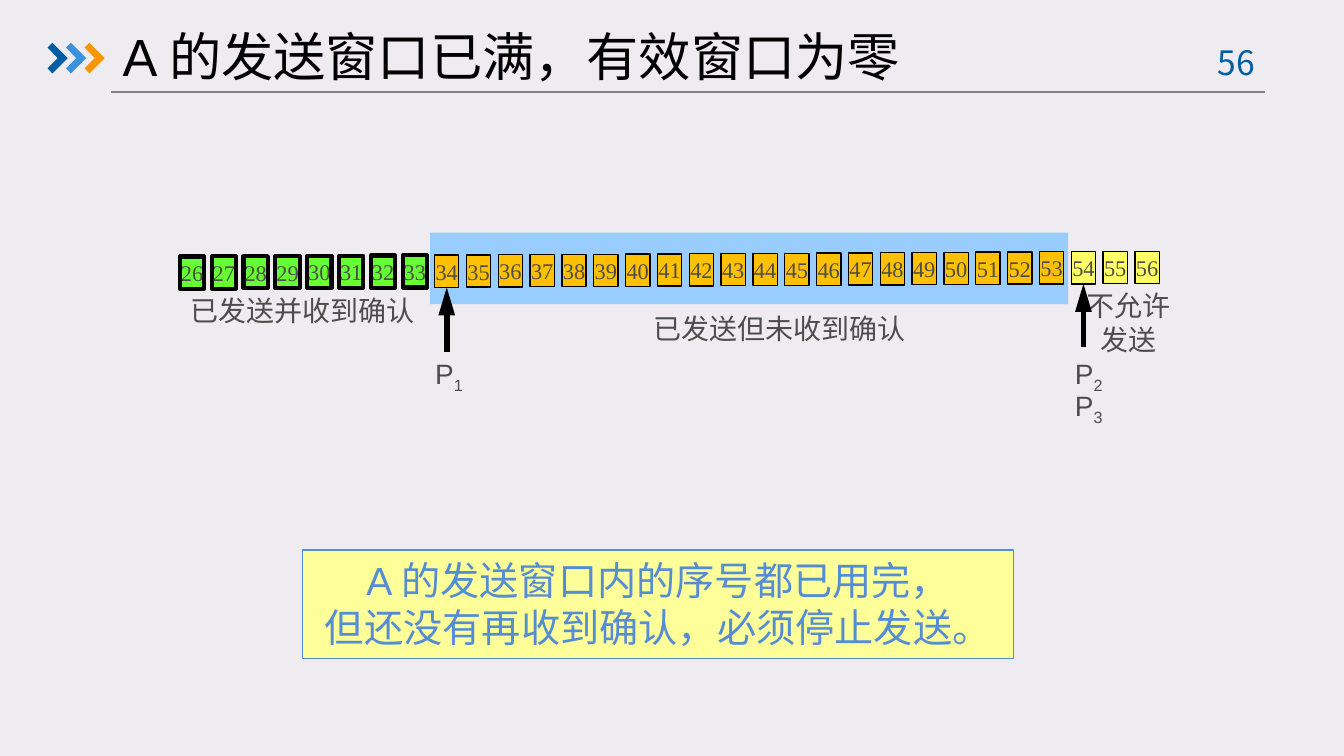
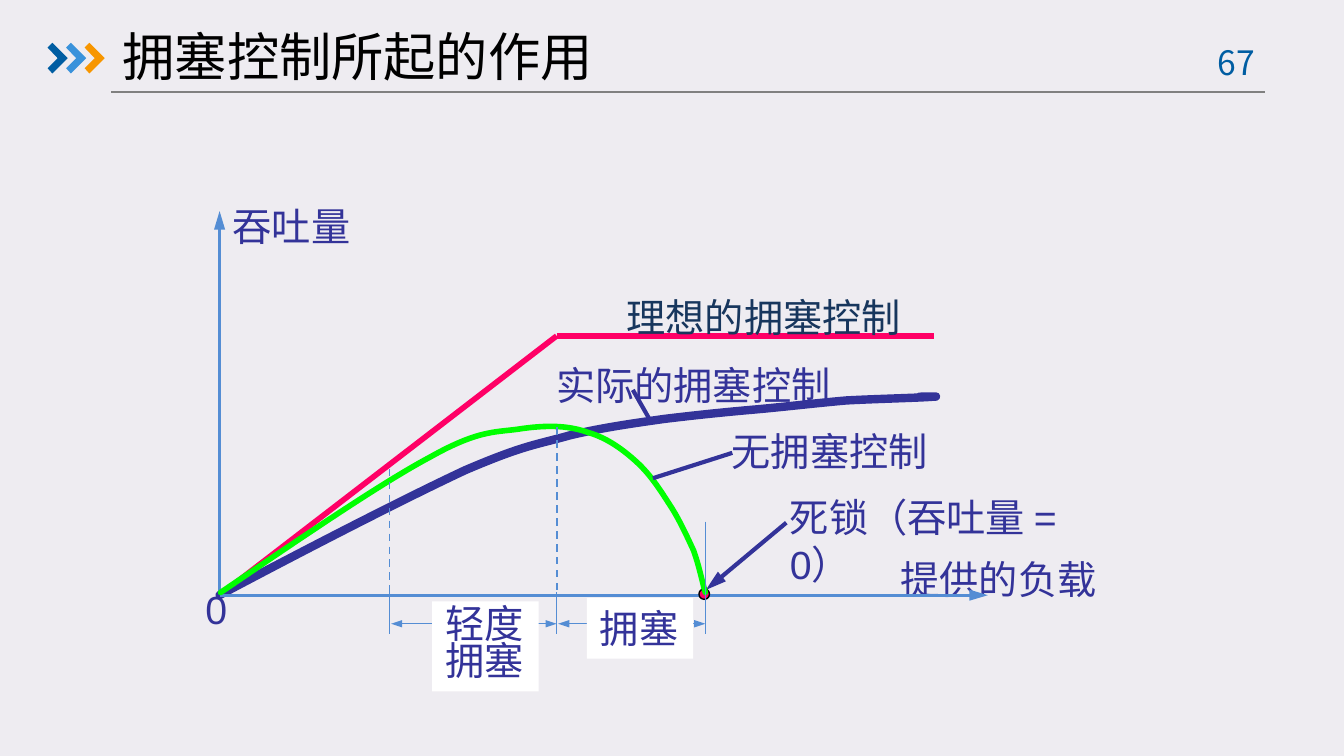
from pptx import Presentation
from pptx.dml.color import RGBColor
from pptx.enum.dml import MSO_LINE as Dash
from pptx.enum.shapes import MSO_CONNECTOR as Link, MSO_SHAPE as Kind
from pptx.enum.text import MSO_ANCHOR as Anchor, PP_ALIGN as Align
from pptx.oxml.ns import qn
from pptx.util import Cm, Pt
from lxml.etree import SubElement as Sub

BLACK, GRAY, INK = "000000", "4D4D4D", "333399"
BLUE, ROSE, LIME = "548DD4", "FF0066", "00FF00"
CJK = "Noto Sans CJK SC"
CHEVRON = [(0, .09), (.09, 0), (.38, .29), (.09, .58), (0, .48), (.19, .29)]


def rgb(code):
    """Turn a hex string into a colour."""
    return RGBColor.from_string(code)


def write(shape, text, size=21, color=INK, font="Arial", align=Align.LEFT,
          anchor=Anchor.TOP, wrap=False, leading=None, sub=None, inset=None):
    """Fill a shape with formatted text, one paragraph per line."""
    frame = shape.text_frame
    frame.word_wrap, frame.vertical_anchor = wrap, anchor
    if inset is not None:
        frame.margin_left = frame.margin_right = Cm(inset)
        frame.margin_top = frame.margin_bottom = Cm(inset)
    for i, line in enumerate(text.split("\n")):
        para = frame.add_paragraph() if i else frame.paragraphs[0]
        para.alignment, para.line_spacing = align, leading
        for part in filter(None, (line, sub)):
            run = para.add_run()
            run.text = part
            run.font.size, run.font.name = Pt(size), font
            run.font.color.rgb = rgb(color)
            props = run.font._element
            Sub(props, qn("a:ea")).set("typeface", CJK)
            if part is sub:
                props.set("baseline", "-25000")


class Deck:
    """Hold the shared style and the current slide."""

    def __init__(self):
        """Start an empty deck."""
        self.prs = Presentation()
        self.prs.slide_width, self.prs.slide_height = Cm(25.4), Cm(14.29)
        self.slide = None

    def page(self, title, number, font="Arial"):
        """Add a slide with its background, header and number."""
        self.slide = self.prs.slides.add_slide(self.prs.slide_layouts[6])
        fill = self.slide.background.fill
        fill.solid()
        fill.fore_color.rgb = rgb("EEECF1")
        self.line((2.1, 1.74), (23.9, 1.74), "808080", .75)
        for i, color in enumerate(("005DA2", "3992DB", "F79600")):
            self.free([(.9 + .35 * i + x, .81 + y) for x, y in CHEVRON], fill=color)
        self.text(22.44, .66, 1.85, 1.02, number, size=18, color="005DA2",
                  font=CJK, align=Align.CENTER, wrap=True)
        self.text(2.07, .41, 17.88, 1.3, title, size=28, color=BLACK, font=font,
                  anchor=Anchor.MIDDLE, wrap=True)

    def paint(self, shape, fill=None, line=None, width=.75):
        """Set fill and outline and drop the shadow."""
        shape.shadow.inherit = False
        if fill:
            shape.fill.solid()
            shape.fill.fore_color.rgb = rgb(fill)
        else:
            shape.fill.background()
        if line:
            shape.line.color.rgb, shape.line.width = rgb(line), Pt(width)
        else:
            shape.line.fill.background()
        return shape

    def text(self, x, y, w, h, text, **style):
        """Add a text box."""
        box = self.slide.shapes.add_textbox(Cm(x), Cm(y), Cm(w), Cm(h))
        write(box, text, **style)

    def shape(self, x, y, w, h, fill, line=None, width=.75, kind=Kind.RECTANGLE,
              text=None, **style):
        """Add a preset shape, with text if given."""
        item = self.slide.shapes.add_shape(kind, Cm(x), Cm(y), Cm(w), Cm(h))
        self.paint(item, fill, line, width)
        if text:
            write(item, text, **style)
        return item

    def free(self, points, fill=None, line=None, width=.75):
        """Add an outline: closed when filled, open when only stroked."""
        dots = [(Cm(x), Cm(y)) for x, y in points]
        form = self.slide.shapes.build_freeform(*dots[0], scale=1.0)
        form.add_line_segments(dots[1:], close=bool(fill))
        return self.paint(form.convert_to_shape(), fill, line, width)

    def curve(self, points, color, width):
        """Add a chain of cubic curves given as a start and triples."""
        item = self.free(points, line=color, width=width)
        item.line._get_or_add_ln().set("cap", "rnd")
        legs = list(item._element.iter(qn("a:lnTo")))
        track = legs[0].getparent()
        for i in range(0, len(legs), 3):
            bend = Sub(track, qn("a:cubicBezTo"))
            for leg in legs[i:i + 3]:
                bend.append(leg[0])
                track.remove(leg)

    def line(self, start, end, color=BLUE, width=.75, heads=(), dash=False,
             size=("med", "lg")):
        """Add a straight line with optional arrowheads."""
        item = self.slide.shapes.add_connector(
            Link.STRAIGHT, *(Cm(v) for v in (*start, *end)))
        item.line.color.rgb, item.line.width = rgb(color), Pt(width)
        if dash:
            item.line.dash_style = Dash.DASH
        for head in heads:
            tip = Sub(item.line._get_or_add_ln(), qn("a:" + head))
            for key, val in zip(("type", "w", "len"), ("triangle", *size)):
                tip.set(key, val)
        Sub(item._element.spPr, qn("a:effectLst"))
        return item


def window(deck):
    """Draw the full send window."""
    deck.page("A 的发送窗口已满，有效窗口为零", "56")
    note = dict(size=15, color=GRAY, align=Align.CENTER)
    deck.text(20.27, 5.33, 2.11, 1.55, "不允许\n发送", **note)
    deck.text(3.33, 5.42, 4.78, .89, "已发送并收到确认", **note)
    deck.shape(8.13, 4.4, 12.06, 1.35, "99CCFF")
    cells = {}
    for i, num in enumerate(range(26, 57)):
        fill, width = (("66FF33", 2.25) if num < 34 else
                       ("FFC000", .75) if num < 54 else ("FFFF66", .75))
        cells[num] = deck.shape(
            3.4 + 18.05 * i / 30, 4.85 - i / 300, .46, .61, fill, BLACK, width,
            text=str(num), size=12, color=GRAY, font="Times New Roman",
            align=Align.CENTER, anchor=Anchor.MIDDLE, inset=0)
    deck.text(12.11, 5.77, 5.33, .89, "已发送但未收到确认", size=15, color=GRAY)
    for num, x, y in ((34, 8.43, 6.65), (54, 20.45, 6.55)):
        arrow = deck.line((x, y), (x, y - 1.22), BLACK, 3, ["tailEnd"])
        arrow.end_connect(cells[num], 2)
        arrow.begin_x = arrow.end_x
    for x, y, sub in ((7.95, 6.62, "1"), (20.04, 6.62, "2"), (20.04, 7.22, "3")):
        deck.text(x, y, 1.07, .89, "P", sub=sub, **note)
    deck.shape(5.72, 10.4, 13.44, 2.05, "FFFF99", BLUE, color=BLUE, align=Align.CENTER,
               text="A 的发送窗口内的序号都已用完，\n但还没有再收到确认，必须停止发送。")


def graph(deck):
    """Draw throughput against offered load."""
    deck.page("拥塞控制所起的作用", "67", CJK)
    zero, knee, mild, dead = (4.15, 11.25), (10.52, 6.35), 7.36, 13.33
    mid, base = knee[0], 11.2
    deck.line(zero, (4.15, 3.99), BLUE, 1.5, ["tailEnd"])
    deck.text(16.77, 10.37, 4.24, 1.14, "提供的负载")
    deck.text(4.15, 3.7, 2.77, 1.14, "吞吐量")
    deck.line(zero, knee, ROSE, 3)
    deck.line(knee, (17.65, 6.35), ROSE, 3)
    deck.text(11.59, 5.42, 5.74, 1.14, "理想的拥塞控制", color="17365D")
    real = [zero, (5.92, 10.31), (7.7, 9.4), (8.79, 8.89), (9.91, 8.41), (10.13, 8.41),
            (10.77, 8.23), (11.4, 8.08), (11.99, 8), (12.55, 7.92), (13.13, 7.85),
            (13.61, 7.8), (14.17, 7.75), (14.76, 7.7), (15.42, 7.62), (16, 7.57),
            (16.56, 7.54), (17.4, 7.52), (17.63, 7.5), (17.86, 7.49), (17.4, 7.5),
            (17.37, 7.5)]
    deck.curve(real, INK, 4.5)
    deck.text(10.26, 6.7, 5.74, 1.14, "实际的拥塞控制")
    deck.line((11.96, 7.37), (12.29, 7.95), INK, 2.25)
    deck.line(zero, (18.67, 11.25), BLUE, 1.5, ["tailEnd"])
    deck.text(3.63, 10.94, .91, 1.14, "0")
    deck.text(14.68, 9.2, 6.2, 1.14, "死锁（吞吐量 = 0）", wrap=True)
    deck.line((14.86, 9.88), (13.34, 11.15), INK, 2.25, ["tailEnd"])
    deck.shape(13.21, 11.13, .2, .2, ROSE, BLACK, kind=Kind.OVAL)
    for left, right in ((mid, dead), (mild, mid)):
        deck.line((left + .03, 11.79), (right, 11.79), heads=["headEnd", "tailEnd"],
                  size=("sm", "med"))
    free = [(4.17, base), (5.66, 10.19), (7.19, 9.14), (8.13, 8.64), (9.09, 8.1),
            (9.4, 8.18), (9.88, 8.1), (10.39, 8.03), (10.77, 8.05), (11.13, 8.18),
            (11.48, 8.28), (11.79, 8.51), (12.04, 8.74), (12.29, 8.97), (12.47, 9.25),
            (12.65, 9.53), (12.83, 9.8), (12.98, 10.13), (13.11, 10.41),
            (13.21, 10.69), (13.26, 10.95), (dead, base)]
    deck.curve(free, LIME, 3)
    deck.text(13.58, 7.95, 4.24, 1.14, "无拥塞控制")
    deck.line((13.84, 8.56), (12.34, 9.04), INK, 2.25)
    for x, top in ((mid, 8.08), (mild, 8.86)):
        deck.line((x, top), (x, base), width=1, dash=True)
    for x, top in ((mid, base), (dead, 9.86), (mild, base)):
        deck.line((x, top), (x, 11.99))
    deck.shape(11.09, 11.3, 2.01, 1.15, "FFFFFF", text="拥塞")
    deck.shape(8.17, 11.37, 2.01, 1.7, "FFFFFF", text="轻度\n拥塞", leading=.8)


def main():
    """Build both slides and save."""
    deck = Deck()
    window(deck)
    graph(deck)
    deck.prs.save("out.pptx")


if __name__ == "__main__":
    main()
